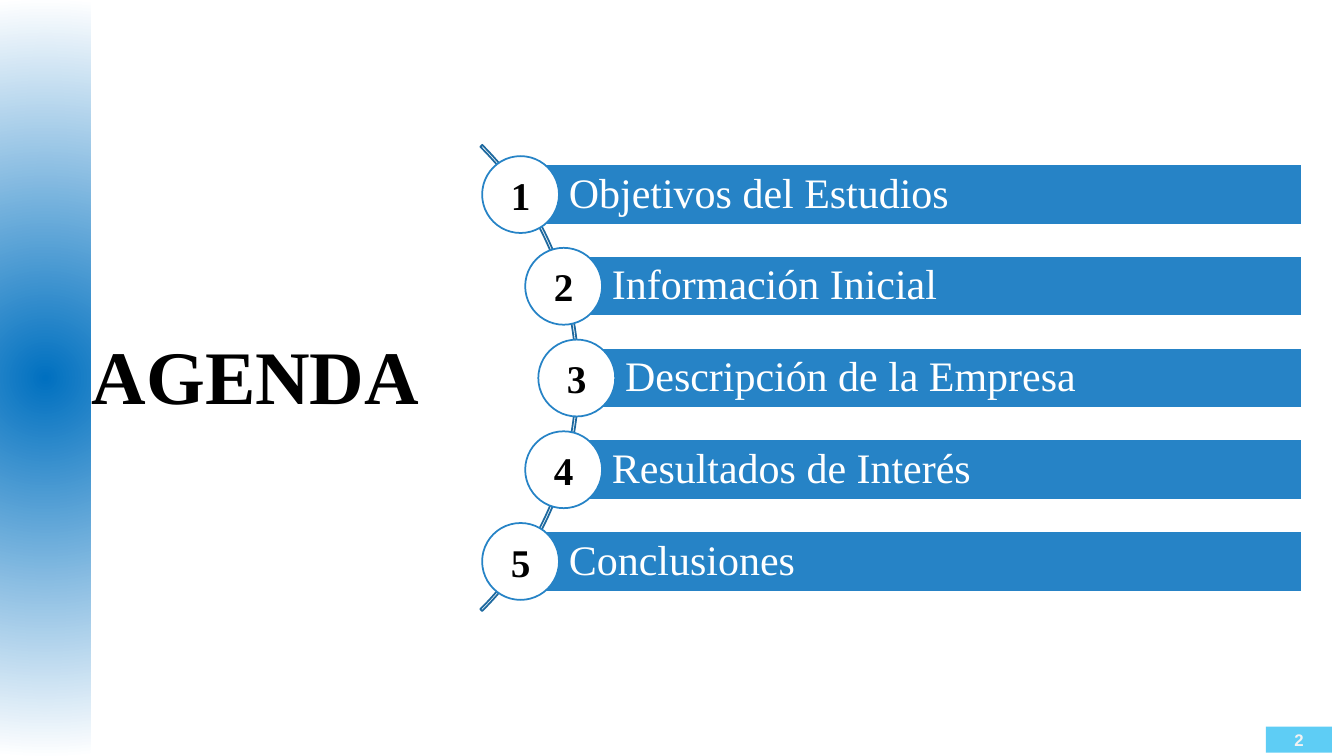
import math
from dataclasses import dataclass

import lxml.etree
import pptx
import pptx.dml.color
import pptx.enum.shapes
import pptx.enum.text
import pptx.oxml
import pptx.oxml.ns
import pptx.util

SHAPE = pptx.enum.shapes.MSO_SHAPE
ALIGN = pptx.enum.text.PP_ALIGN
ANCHOR = pptx.enum.text.MSO_ANCHOR

COLUMNS, ROWS = 160, 90
CELL = pptx.util.Inches(1 / 12)

TOPICS = [
    "Objetivos del Estudios",
    "Información Inicial",
    "Descripción de la Empresa",
    "Resultados de Interés",
    "Conclusiones",
]
ARC_CENTER, ARC_RADIUS = 29.66, 39
ARC_BOX_RADIUS = 39.24
TOPIC_PITCH = 10.92
BAR_HEIGHT, BAR_RIGHT, BAR_INSET = 7.3, 155, 5.76
CIRCLE_SIZE = 9.15
SIDE_BAND_WIDTH = 10.8


@dataclass(frozen=True)
class Theme:
    serif: str = "Times New Roman"
    sans: str = "Arial"
    bar: str = "2683C6"
    arc: str = "1E699F"
    band: str = "0070C0"
    page_mark: str = "00B0F0"
    page_number: str = "F2F2F2"
    white: str = "FFFFFF"
    black: str = "000000"
    title_size: int = 54
    topic_size: int = 30
    number_size: int = 28
    page_size: int = 12


THEME = Theme()


def cells(count):
    return round(count * CELL)


def rgb(value):
    return pptx.dml.color.RGBColor.from_string(value)


def write_text(shape, text, *, size, color, font=THEME.serif, bold=False,
               align=ALIGN.LEFT, anchor=ANCHOR.MIDDLE, wrap=True,
               insets=(0, 0, 0, 0), spacing=1.0):
    frame = shape.text_frame
    frame.auto_size = pptx.enum.text.MSO_AUTO_SIZE.NONE
    frame.word_wrap = wrap
    frame.vertical_anchor = anchor
    (frame.margin_left, frame.margin_top,
     frame.margin_right, frame.margin_bottom) = map(cells, insets)
    para = frame.paragraphs[0]
    para.alignment = align
    para.line_spacing = spacing
    span = para.add_run()
    span.text = text
    span.font.name = font
    span.font.size = pptx.util.Pt(size)
    span.font.bold = bold
    span.font.color.rgb = rgb(color)


def add_box(page, kind, left, top, width, height, fill=None, line=None, weight=1.25):
    box = page.shapes.add_shape(kind, *map(cells, (left, top, width, height)))
    box.shadow.inherit = False
    if fill:
        box.fill.solid()
        box.fill.fore_color.rgb = rgb(fill)
    else:
        box.fill.background()
    if line:
        box.line.color.rgb = rgb(line)
        box.line.width = pptx.util.Pt(weight)
    else:
        box.line.fill.background()
    return box


def add_title(page, text):
    title = page.shapes.title
    title.left, title.top, title.width, title.height = map(
        cells, (9.72, 38.56, 41.76, 12.12))
    write_text(title, text, size=THEME.title_size, color=THEME.black, bold=True,
               anchor=ANCHOR.TOP, wrap=False, insets=(1.2, 0.6, 1.2, 0.6))


def add_side_band(page):
    band = add_box(page, SHAPE.RECTANGLE, 0, 0, SIDE_BAND_WIDTH, ROWS)
    band.fill.gradient()
    for stop, color in zip(band.fill.gradient_stops, (THEME.band, THEME.white)):
        stop.color.rgb = rgb(color)
    gradient = band.fill._fill._gradFill
    gradient.remove(gradient.find(pptx.oxml.ns.qn("a:lin")))
    radial = lxml.etree.SubElement(gradient, pptx.oxml.ns.qn("a:path"), path="circle")
    lxml.etree.SubElement(radial, pptx.oxml.ns.qn("a:fillToRect"),
                          l="50000", t="50000", r="50000", b="50000")


def add_arc(page):
    arc = add_box(page, SHAPE.BLOCK_ARC, ARC_CENTER - ARC_BOX_RADIUS,
                  ROWS / 2 - ARC_BOX_RADIUS, 2 * ARC_BOX_RADIUS,
                  2 * ARC_BOX_RADIUS, line=THEME.arc)
    for index, value in enumerate((189, 27, 0.004)):
        arc.adjustments[index] = value


def add_topic(page, index, text):
    offset = (index - (len(TOPICS) - 1) / 2) * TOPIC_PITCH
    middle = ROWS / 2 + offset
    center = ARC_CENTER + math.sqrt(ARC_RADIUS ** 2 - offset ** 2)
    bar = add_box(page, SHAPE.RECTANGLE, center, middle - BAR_HEIGHT / 2,
                  BAR_RIGHT - center, BAR_HEIGHT, THEME.bar, THEME.white, 2)
    write_text(bar, text, size=THEME.topic_size, color=THEME.white,
               insets=(BAR_INSET, 1, 1, 1), spacing=0.9)
    circle = add_box(page, SHAPE.OVAL, center - CIRCLE_SIZE / 2,
                     middle - CIRCLE_SIZE / 2, CIRCLE_SIZE, CIRCLE_SIZE,
                     THEME.white, THEME.bar)
    write_text(circle, str(index + 1), size=THEME.number_size, color=THEME.black,
               bold=True, align=ALIGN.CENTER, wrap=False)


def add_page_mark(page, number):
    mark = add_box(page, SHAPE.RECTANGLE, 150.72, 86.5, 7.85, 3.12, THEME.page_mark)
    color = mark.fill._xPr.find(".//" + pptx.oxml.ns.qn("a:srgbClr"))
    lxml.etree.SubElement(color, pptx.oxml.ns.qn("a:alpha"), val="63000")
    write_text(mark, number, size=THEME.page_size, color=THEME.page_number,
               font=THEME.sans, bold=True, align=ALIGN.CENTER)


def main():
    deck = pptx.Presentation()
    deck.slide_width, deck.slide_height = cells(COLUMNS), cells(ROWS)
    page = deck.slides.add_slide(deck.slide_layouts.get_by_name("Title Only"))
    add_page_mark(page, "2")
    add_arc(page)
    for index, text in enumerate(TOPICS):
        add_topic(page, index, text)
    add_side_band(page)
    add_title(page, "AGENDA")
    deck.save("out.pptx")


if __name__ == "__main__":
    main()
